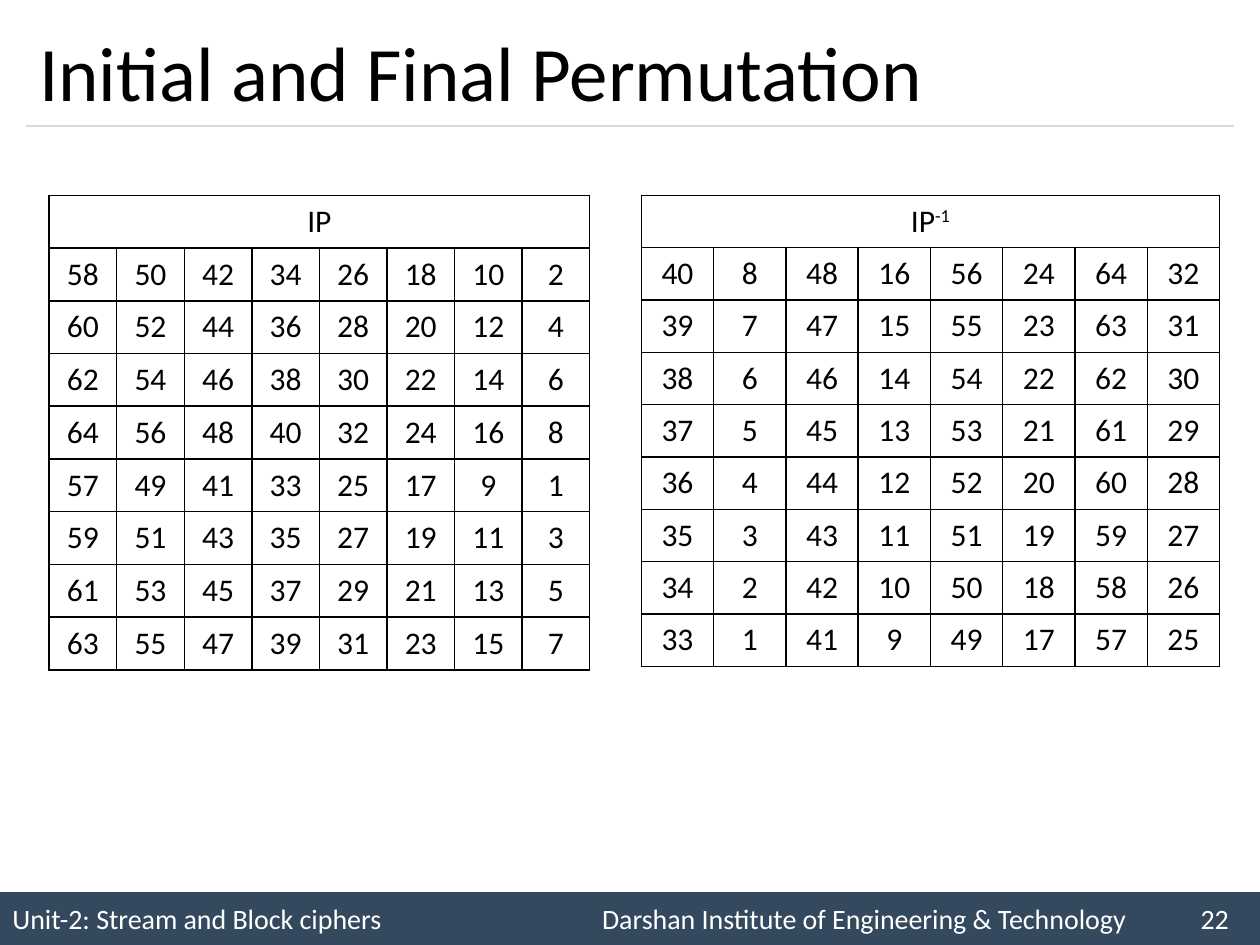
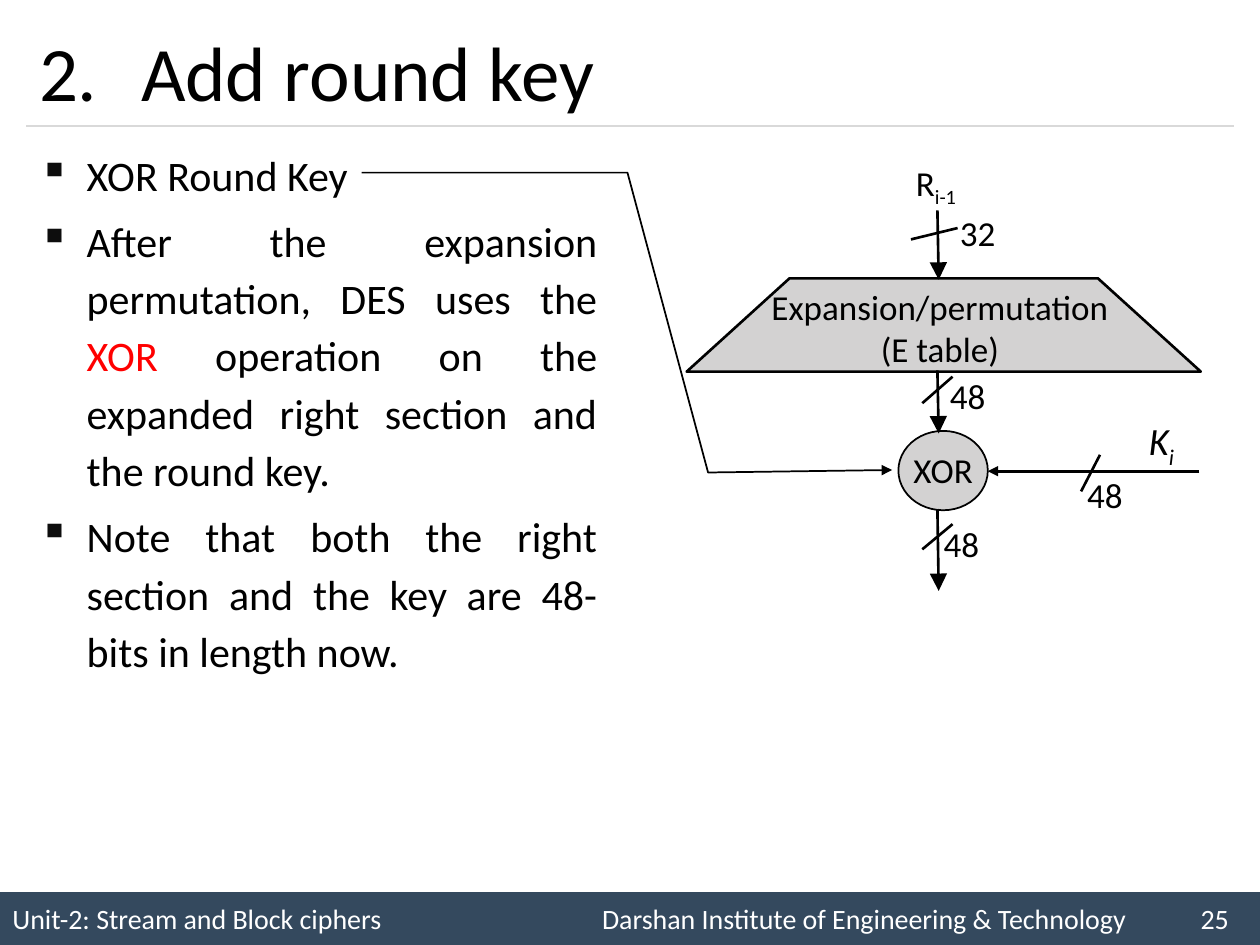
from lxml.etree import SubElement
from pptx import Presentation
from pptx.dml.color import RGBColor
from pptx.enum.shapes import MSO_CONNECTOR, MSO_SHAPE
from pptx.enum.text import MSO_ANCHOR, MSO_AUTO_SIZE, PP_ALIGN
from pptx.oxml.ns import qn
from pptx.util import Inches, Pt

BLACK = RGBColor(0x00, 0x00, 0x00)
WHITE = RGBColor(0xFF, 0xFF, 0xFF)
RED = RGBColor(0xFF, 0x00, 0x00)
BAND = RGBColor(0x34, 0x49, 0x5E)
RULE = RGBColor(0xD9, 0xD9, 0xD9)
GREY = RGBColor(0xD3, 0xD2, 0xD2)
FONT = "Calibri"
COLUMNS, ROWS = 100, 75
TITLE_BOX = (2.1, 1.2, 95.8, 8.8)
UNIT, INSTITUTE = "Unit-2: Stream and Block ciphers", "Darshan Institute of Engineering & Technology"
TABLE_COLUMNS, TABLE_ROWS = 8, 9


def grid(*cells):
    return [Inches(cell * 10 / COLUMNS) for cell in cells]


def add_element(parent, tag, **attributes):
    return SubElement(parent, qn(tag), **attributes)


def add_run(paragraph, text, size, color=BLACK, baseline=0, italic=None):
    run = paragraph.add_run()
    run.text = text
    run.font.name, run.font.size, run.font.italic = FONT, Pt(size), italic
    run.font.color.rgb = color
    if baseline:
        run.font._element.set("baseline", str(baseline * 1000))


def indent(paragraph, columns):
    properties = paragraph._p.get_or_add_pPr()
    margin = grid(columns)[0]
    properties.set("marL", str(margin))
    properties.set("indent", str(-margin))
    return properties


def add_arrowhead(shape, size):
    outline = shape.element.spPr.get_or_add_ln()
    add_element(outline, "a:tailEnd", type="triangle", w=size, len=size)


def add_line(slide, ends, color=BLACK, width=1.5, arrow=None):
    line = slide.shapes.add_connector(MSO_CONNECTOR.STRAIGHT, *grid(*ends))
    line.line.color.rgb, line.line.width = color, Pt(width)
    if arrow:
        add_arrowhead(line, arrow)
    add_element(line.element.spPr, "a:effectLst")


def add_preset(slide, kind, box, fill, line_width=None):
    shape = slide.shapes.add_shape(kind, *grid(*box))
    shape.shadow.inherit = False
    shape.fill.solid()
    shape.fill.fore_color.rgb = fill
    if line_width:
        shape.line.color.rgb, shape.line.width = BLACK, Pt(line_width)
    else:
        shape.line.fill.background()
    return shape


def add_label(slide, box, *lines, size=20, subscript="", italic=None, align=PP_ALIGN.CENTER, wrap=True):
    frame = slide.shapes.add_textbox(*grid(*box)).text_frame
    frame.word_wrap = wrap
    for number, line in enumerate(lines):
        paragraph = frame.add_paragraph() if number else frame.paragraphs[0]
        paragraph.alignment = align
        add_run(paragraph, line, size, italic=italic)
    if subscript:
        add_run(paragraph, subscript, size, baseline=-25, italic=italic)


def add_footer(slide, page):
    band = add_preset(slide, MSO_SHAPE.RECTANGLE, (0, 70.8, COLUMNS, ROWS - 70.8), BAND)
    band.text_frame.vertical_anchor = MSO_ANCHOR.MIDDLE
    paragraph = band.text_frame.paragraphs[0]
    paragraph.alignment = PP_ALIGN.LEFT
    tabs = add_element(paragraph._p.get_or_add_pPr(), "a:tabLst")
    for position in grid(46.8, 94.3):
        add_element(tabs, "a:tab", pos=str(position), algn="l")
    add_run(paragraph, f"{UNIT}\t{INSTITUTE}\t{page}", 16, WHITE)


def add_titled_slide(presentation, title, page, number=None):
    slide = presentation.slides.add_slide(presentation.slide_layouts[5])
    placeholder = slide.shapes.title
    placeholder.left, placeholder.top, placeholder.width, placeholder.height = grid(*TITLE_BOX)
    frame = placeholder.text_frame
    frame.auto_size, frame.vertical_anchor = MSO_AUTO_SIZE.NONE, MSO_ANCHOR.MIDDLE
    paragraph = frame.paragraphs[0]
    paragraph.alignment = PP_ALIGN.LEFT
    if number:
        properties = indent(paragraph, 8.1)
        add_element(properties, "a:buFont", typeface="+mj-lt")
        add_element(properties, "a:buAutoNum", type="arabicPeriod", startAt=str(number))
    add_run(paragraph, title, 44)
    add_footer(slide, page)
    add_line(slide, (2.1, 10, 97.9, 10), RULE, 0.75)
    return slide


def format_cell(cell):
    cell.vertical_anchor = MSO_ANCHOR.MIDDLE
    for side in ("a:lnL", "a:lnR", "a:lnT", "a:lnB"):
        border = add_element(cell._tc.get_or_add_tcPr(), side, w=str(Pt(1)))
        add_element(add_element(border, "a:solidFill"), "a:srgbClr", val=str(BLACK))
    cell.fill.background()
    cell.text_frame.paragraphs[0].alignment = PP_ALIGN.CENTER


def add_permutation(slide, box, rows, exponent=""):
    left, top, width, height = grid(*box)
    table = slide.shapes.add_table(TABLE_ROWS, TABLE_COLUMNS, left, top, width, height).table
    table.first_row = table.horz_banding = False
    for column in table.columns:
        column.width = width // TABLE_COLUMNS
    for row in table.rows:
        row.height = height // TABLE_ROWS
    for cell in table.iter_cells():
        format_cell(cell)
    heading = table.cell(0, 0)
    heading.merge(table.cell(0, TABLE_COLUMNS - 1))
    add_run(heading.text_frame.paragraphs[0], "IP", 18)
    if exponent:
        add_run(heading.text_frame.paragraphs[0], exponent, 18, baseline=30)
    for row_number, row in enumerate(rows, 1):
        for column_number, bit in enumerate(row):
            add_run(table.cell(row_number, column_number).text_frame.paragraphs[0], str(bit), 18)


def add_bullets(slide, box, bullets):
    frame = slide.shapes.add_textbox(*grid(*box)).text_frame
    frame.word_wrap = True
    for number, runs in enumerate(bullets):
        paragraph = frame.add_paragraph() if number else frame.paragraphs[0]
        paragraph.alignment, paragraph.line_spacing = PP_ALIGN.JUSTIFY, 1.14
        if number:
            paragraph.space_before = Pt(4.8)
        properties = indent(paragraph, 3.8)
        add_element(add_element(properties, "a:buClr"), "a:srgbClr", val="0D0D0D")
        add_element(properties, "a:buChar", char="▪")
        for text, color in runs:
            add_run(paragraph, text, 24, color)


def add_callout(slide, points):
    start, *others = [tuple(grid(*point)) for point in points]
    builder = slide.shapes.build_freeform(*start)
    builder.add_line_segments(others, close=False)
    callout = builder.convert_to_shape()
    callout.shadow.inherit = False
    callout.fill.background()
    callout.line.color.rgb, callout.line.width = BLACK, Pt(1)
    add_arrowhead(callout, "med")


def add_round_diagram(slide):
    add_preset(slide, MSO_SHAPE.OVAL, (71.3, 34.2, 7.1, 6.3), GREY, 1)
    add_label(slide, (71.3, 35.1, 7.1, 4.4), "XOR")
    expansion = add_preset(slide, MSO_SHAPE.FLOWCHART_MANUAL_OPERATION, (54.5, 22.1, 40.8, 7.4), GREY, 1.5)
    expansion.element.spPr.get_or_add_xfrm().set("flipV", "1")
    add_label(slide, (59.4, 22.2, 30.4, 7.7), "Expansion/permutation", "(E table)")

    for top, bottom in ((16.7, 22.2), (29.4, 34.4), (40.4, 46.9)):
        add_line(slide, (74.4, top, 74.5, bottom), arrow="lg")
    add_line(slide, (95.2, 37.4, 78.4, 37.4), arrow="med")
    for slash in ((72.3, 19, 76, 18.1), (75.6, 29.9, 73.2, 32), (75.6, 41.6, 73.2, 43.6), (87.3, 36.1, 85.8, 39)):
        add_line(slide, slash)
    for left, top in ((74.1, 29.2), (73.6, 41), (85, 37.1)):
        add_label(slide, (left, top, 5.4, 4.4), "48")

    add_label(slide, (75.2, 16.3, 4.9, 4.4), "32", align=PP_ALIGN.LEFT, wrap=False)
    add_label(slide, (71.7, 12.3, 5.5, 4.4), "R", subscript="i-1", align=PP_ALIGN.LEFT, wrap=False)
    add_label(slide, (90.2, 32.6, 5, 4.7), "K", size=22, subscript="i", italic=True, align=PP_ALIGN.LEFT)


def main():
    presentation = Presentation()
    presentation.slide_width, presentation.slide_height = grid(COLUMNS, ROWS)

    permutations = add_titled_slide(presentation, "Initial and Final Permutation", 22)
    initial = [[first - 8 * step for step in range(8)] for first in (58, 60, 62, 64, 57, 59, 61, 63)]
    final = [[first - step for first in (40, 8, 48, 16, 56, 24, 64, 32)] for step in range(8)]
    add_permutation(permutations, (3.9, 15.5, 42.9, 37.7), initial)
    add_permutation(permutations, (50.9, 15.5, 45.9, 37.4), final, "-1")

    round_key = add_titled_slide(presentation, "Add round key", 25, number=2)
    add_bullets(round_key, (2.1, 10.8, 46.3, 58.3), [
        [("XOR Round Key", BLACK)],
        [("After the expansion permutation, DES uses the ", BLACK), ("XOR", RED),
         (" operation on the expanded right section and the round key.", BLACK)],
        [("Note that both the right section and the key are 48-bits in length now.", BLACK)],
    ])
    add_callout(round_key, [(28.7, 13.7), (49.8, 13.7), (56.2, 37.5), (70.8, 37.3)])
    add_round_diagram(round_key)

    presentation.save("out.pptx")


if __name__ == "__main__":
    main()
